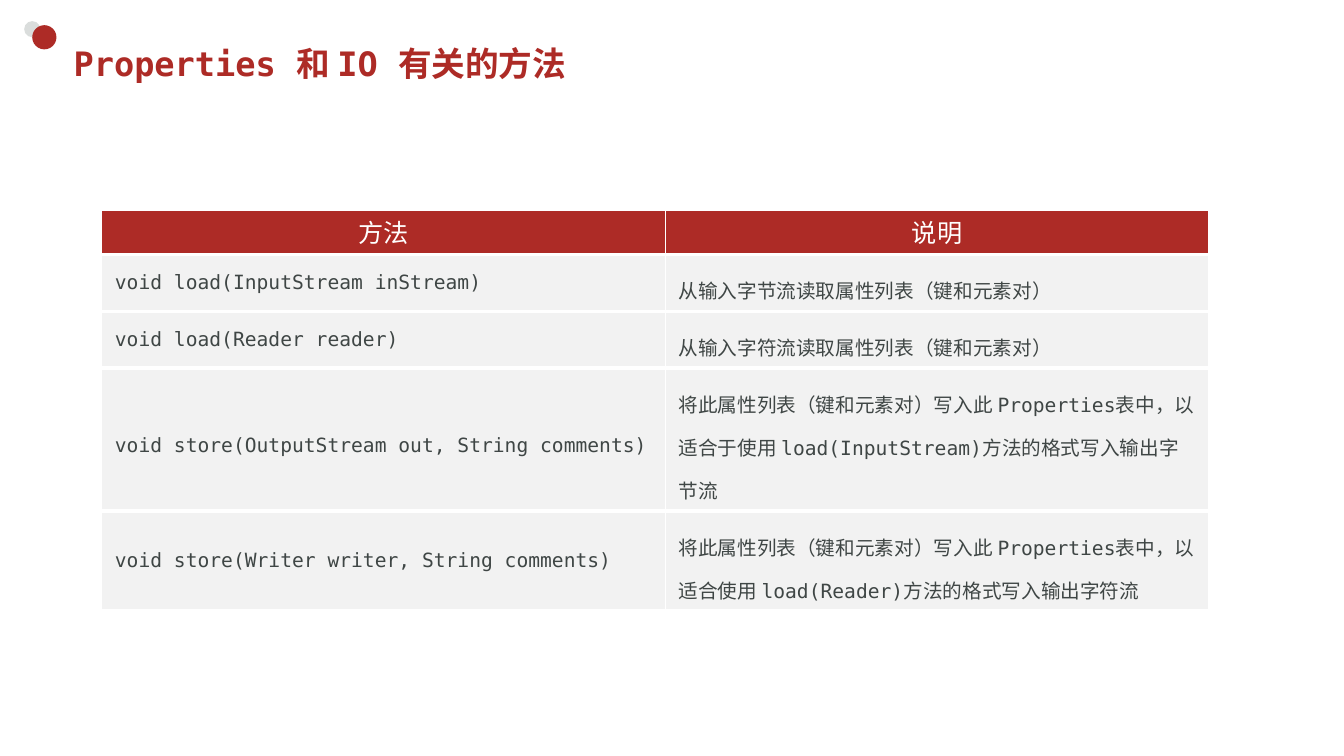
"""Build a slide listing the Properties methods related to IO."""
from dataclasses import dataclass
from typing import Optional

from lxml.etree import SubElement
from pptx import Presentation
from pptx.dml.color import RGBColor
from pptx.enum.shapes import MSO_SHAPE
from pptx.enum.text import MSO_ANCHOR, PP_ALIGN
from pptx.oxml.ns import qn
from pptx.util import Inches, Pt

RED = RGBColor(0xAD, 0x2B, 0x26)
SILVER = RGBColor(0xDA, 0xDD, 0xDC)
PALE = RGBColor(0xF2, 0xF2, 0xF2)
INK = RGBColor(0x3F, 0x46, 0x45)
WHITE = RGBColor(0xFF, 0xFF, 0xFF)
MONO = "DejaVu Sans Mono"
SANS = "Lato"


@dataclass
class Dot:
    left: float
    top: float
    size: float
    color: RGBColor


@dataclass
class Method:
    signature: str
    description: str
    height: float
    spacing: Optional[float] = None


@dataclass
class CellStyle:
    font: str
    size: int
    color: RGBColor
    fill: RGBColor
    margin_x: float
    margin_y: float
    top_border: int
    align: Optional[PP_ALIGN] = None


HEADER = CellStyle(SANS, 18, WHITE, RED, 0.1, 0.05, 1, PP_ALIGN.CENTER)
BODY = CellStyle(MONO, 14, INK, PALE, 0.13, 0.07, 3)

DOTS = [Dot(0.24, 0.21, 0.16, SILVER), Dot(0.32, 0.25, 0.24, RED)]
COLUMN_WIDTHS = [5.59, 5.39]
HEADER_HEIGHT = 0.37
METHODS = [
    Method("void load(InputStream inStream)",
           "从输入字节流读取属性列表（键和元素对）", 0.52),
    Method("void load(Reader reader)",
           "从输入字符流读取属性列表（键和元素对）", 0.41),
    Method("void store(OutputStream out, String comments)",
           "将此属性列表（键和元素对）写入此 Properties表中，以适合于使用 "
           "load(InputStream)方法的格式写入输出字节流", 0.72, 1.5),
    Method("void store(Writer writer, String comments)",
           "将此属性列表（键和元素对）写入此 Properties表中，以适合使用 "
           "load(Reader)方法的格式写入输出字符流", 0.72),
]


def add_dot(s, dot: Dot) -> None:
    sp = s.shapes.add_shape(MSO_SHAPE.OVAL, Inches(dot.left), Inches(dot.top),
                            Inches(dot.size), Inches(dot.size))
    sp.shadow.inherit = False
    sp.fill.solid()
    sp.fill.fore_color.rgb = dot.color
    sp.line.fill.background()


def set_borders(cell, top: int) -> None:
    tc_pr = cell._tc.get_or_add_tcPr()
    widths = {"a:lnL": 1, "a:lnR": 1, "a:lnT": top, "a:lnB": 3}
    for index, (tag, width) in enumerate(widths.items()):
        ln = SubElement(tc_pr, qn(tag), w=str(Pt(width)))
        SubElement(SubElement(ln, qn("a:solidFill")), qn("a:srgbClr"), val=str(WHITE))
        tc_pr.insert(index, ln)


def fill_cell(cell, text: str, style: CellStyle, spacing=None) -> None:
    cell.margin_left = cell.margin_right = Inches(style.margin_x)
    cell.margin_top = cell.margin_bottom = Inches(style.margin_y)
    cell.vertical_anchor = MSO_ANCHOR.MIDDLE
    cell.fill.solid()
    cell.fill.fore_color.rgb = style.fill
    set_borders(cell, style.top_border)
    cell.text_frame.text = text
    p = cell.text_frame.paragraphs[0]
    p.alignment = style.align
    p.line_spacing = spacing
    font = p.runs[0].font
    font.name, font.size, font.bold = style.font, Pt(style.size), False
    font.color.rgb = style.color


def add_title(s, text: str) -> None:
    title = s.shapes.title
    title.left, title.top = Inches(0.63), Inches(0.37)
    title.width, title.height = Inches(11.74), Inches(0.52)
    tf = title.text_frame
    tf.text = text
    tf.vertical_anchor = MSO_ANCHOR.MIDDLE
    p = tf.paragraphs[0]
    p.alignment = PP_ALIGN.LEFT
    font = p.runs[0].font
    font.name, font.size, font.bold = MONO, Pt(24), True
    font.color.rgb = RED


def add_method_table(s) -> None:
    frame = s.shapes.add_table(len(METHODS) + 1, len(COLUMN_WIDTHS), Inches(1.01),
                               Inches(2.09), Inches(sum(COLUMN_WIDTHS)), Inches(3.31))
    table = frame.table
    for column, width in zip(table.columns, COLUMN_WIDTHS):
        column.width = Inches(width)
    heights = [HEADER_HEIGHT] + [method.height for method in METHODS]
    for row, height in zip(table.rows, heights):
        row.height = Inches(height)
    frame.height = Inches(3.31)
    for column, text in enumerate(["方法", "说明"]):
        fill_cell(table.cell(0, column), text, HEADER, Pt(24))
    for row, method in enumerate(METHODS, 1):
        fill_cell(table.cell(row, 0), method.signature, BODY, method.spacing)
        fill_cell(table.cell(row, 1), method.description, BODY, 1.5)


def main() -> None:
    prs = Presentation()
    prs.slide_width, prs.slide_height = Inches(13.33), Inches(7.5)
    s = prs.slides.add_slide(prs.slide_layouts[5])
    for dot in DOTS:
        add_dot(s, dot)
    add_method_table(s)
    add_title(s, "Properties 和 IO 有关的方法")
    prs.save("out.pptx")


if __name__ == "__main__":
    main()
